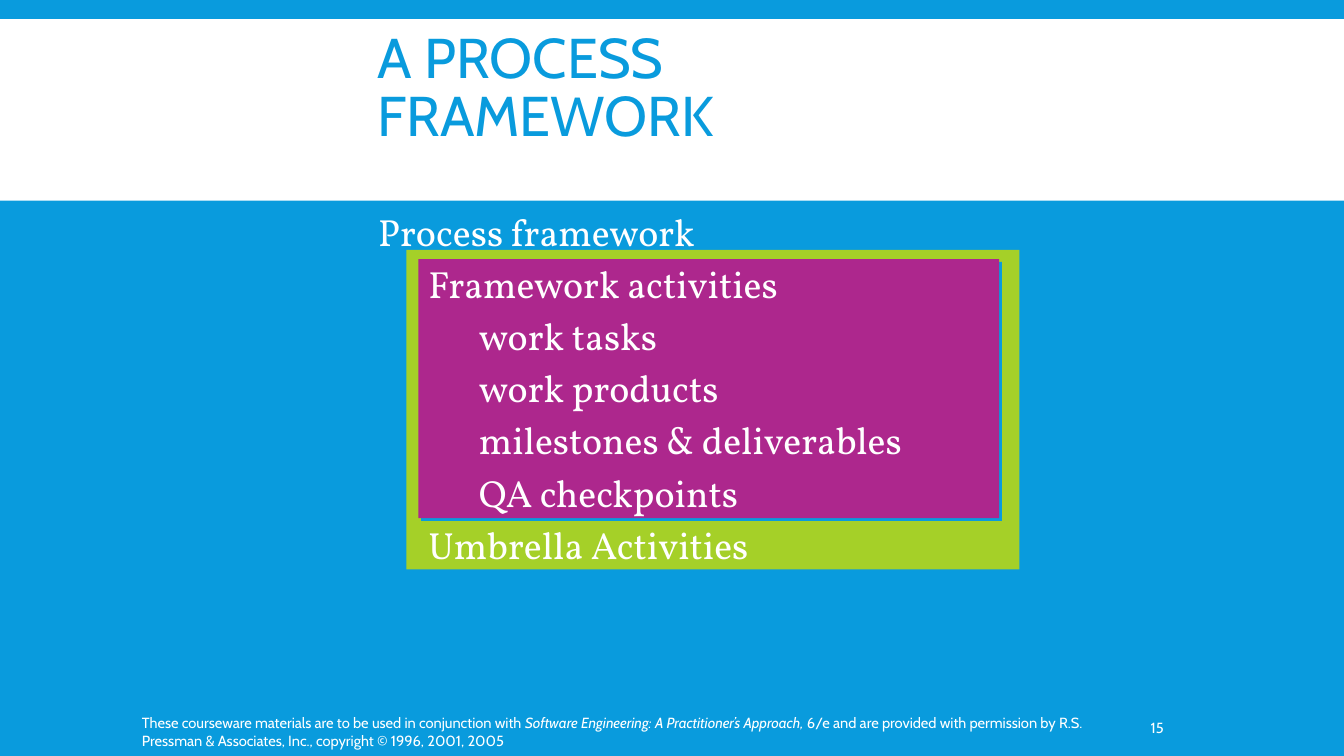
from lxml.etree import SubElement
from pptx import Presentation
from pptx.dml.color import RGBColor
from pptx.enum.shapes import MSO_SHAPE
from pptx.enum.text import MSO_ANCHOR, PP_ALIGN
from pptx.oxml.ns import qn
from pptx.util import Pt

EMU_PER_PX = 9144  # 100 px to the inch
COLORS = {"blue": "099BDD", "white": "FFFFFF", "green": "A5D028", "purple": "AD278D"}


class FrameworkSlide:
    def __init__(self, prs):
        self.slide = prs.slides.add_slide(prs.slide_layouts[6])
        background = self.slide.background.fill
        background.solid()
        background.fore_color.rgb = self.color("blue")

    @staticmethod
    def px(*lengths):
        return [length * EMU_PER_PX for length in lengths]

    @staticmethod
    def color(name):
        return RGBColor.from_string(COLORS[name])

    def panel(self, box, fill, shadow=None):
        rect = self.slide.shapes.add_shape(MSO_SHAPE.RECTANGLE, *self.px(*box))
        rect.shadow.inherit = False
        rect.fill.solid()
        rect.fill.fore_color.rgb = self.color(fill)
        rect.line.fill.background()
        if shadow:
            effects = rect._element.spPr.find(qn("a:effectLst"))
            outer = SubElement(effects, qn("a:outerShdw"), dist=str(Pt(2.8)),
                               dir="2700000", algn="ctr", rotWithShape="0")
            SubElement(outer, qn("a:srgbClr"), val=COLORS[shadow])

    def text(self, box, lines, size, font="Cabin", color="white", insets=(10, 5, 10, 5),
             anchor=MSO_ANCHOR.TOP, align=PP_ALIGN.LEFT, spacing=1.0):
        """Add a text box; lines holds (level, [(text, italic), ...]) pairs."""
        frame = self.slide.shapes.add_textbox(*self.px(*box)).text_frame
        frame.word_wrap = True
        frame.vertical_anchor = anchor
        (frame.margin_left, frame.margin_top,
         frame.margin_right, frame.margin_bottom) = self.px(*insets)
        for i, (level, runs) in enumerate(lines):
            paragraph = frame.add_paragraph() if i else frame.paragraphs[0]
            paragraph.level = level
            properties = paragraph._p.get_or_add_pPr()
            properties.set("marL", str(level * 50 * EMU_PER_PX))
            properties.set("indent", "0")
            paragraph.alignment = align
            paragraph.line_spacing = spacing
            paragraph.font.size = Pt(size)
            paragraph.font.name = font
            paragraph.font.color.rgb = self.color(color)
            for words, italic in runs:
                run = paragraph.add_run()
                run.text = words
                if italic:
                    run.font.italic = True


def main():
    prs = Presentation()
    prs.slide_width, prs.slide_height = FrameworkSlide.px(1333, 750)
    page = FrameworkSlide(prs)

    page.panel((0, 19, 1333, 180), "white")
    page.panel((403, 248, 608, 317), "green", shadow="blue")
    page.panel((415, 257, 576, 257), "purple", shadow="blue")

    page.text((366, 30, 638, 64), [(0, [("A PROCESS FRAMEWORK", False)])], 40,
              color="blue", insets=(8, 3, 8, 3), spacing=0.85)

    outline = [
        (0, "Process framework"),
        (1, "Framework activities"),
        (2, "work tasks"),
        (2, "work products"),
        (2, "milestones & deliverables"),
        (2, "QA checkpoints"),
        (1, "Umbrella Activities"),
    ]
    page.text((364, 195, 553, 374), [(level, [(item, False)]) for level, item in outline],
              27, font="Vollkorn", insets=(11, 5, 11, 5), spacing=1.15)

    permission = [
        ("These courseware materials are to be used in conjunction with ", False),
        ("Software Engineering: A Practitioner’s Approach,", True),
        (" 6/e and are provided with permission by R.S. Pressman & Associates, Inc., "
         "copyright © 1996, 2001, 2005", False),
    ]
    page.text((131, 702, 959, 48), [(0, permission)], 10.5,
              insets=(10, 5, 5, 5), anchor=MSO_ANCHOR.MIDDLE)
    page.text((612, 702, 552, 40), [(0, [("15", False)])], 10.5,
              anchor=MSO_ANCHOR.MIDDLE, align=PP_ALIGN.RIGHT)

    prs.save("out.pptx")


if __name__ == "__main__":
    main()
